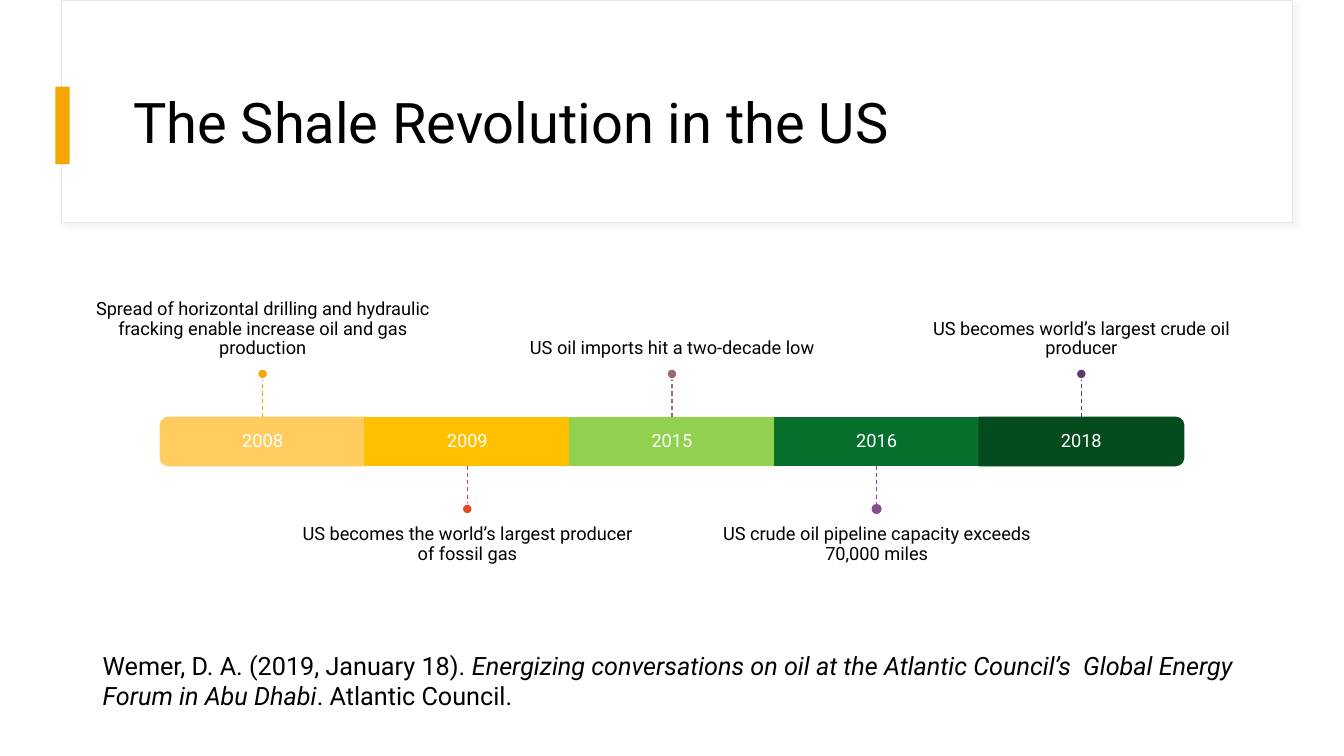
import pptx
import pptx.util
import pptx.dml.color
import pptx.enum.dml
import pptx.enum.shapes
import pptx.enum.text
import pptx.oxml
import pptx.oxml.ns

Inches, Pt = pptx.util.Inches, pptx.util.Pt
SHAPE = pptx.enum.shapes.MSO_SHAPE
ANCHOR = pptx.enum.text.MSO_ANCHOR
ALIGN = pptx.enum.text.PP_ALIGN

# Content
TITLE = "The Shale Revolution in the US"
# year, event, bar colour, marker colour, outlined marker
MILESTONES = [
    ("2008", "Spread of horizontal drilling and hydraulic fracking enable increase oil and gas production",
     "FFCC5F", "F5A700", True),
    ("2009", "US becomes the world’s largest producer of fossil gas",
     "FFC000", "E64823", True),
    ("2015", "US oil imports hit a two-decade low",
     "92D050", "9C6A6A", True),
    ("2016", "US crude oil pipeline capacity exceeds 70,000 miles",
     "06702C", "824F8C", False),
    ("2018", "US becomes world’s largest crude oil producer",
     "044B1D", "613B69", True),
]
CITATION = [
    ("Wemer, D. A. (2019, January 18). ", False),
    ("Energizing conversations on oil at the Atlantic Council’s  Global Energy Forum in Abu Dhabi", True),
    (". Atlantic Council.", False),
]
COLORS = {"text": "000000", "white": "FFFFFF", "accent": "F5A700", "border": "E8E8E8"}
FONT = "Roboto"

# Timeline geometry in inches
BAR_LEFT, BAR_TOP, BAR_W, BAR_H = 1.59, 4.14, 2.03, 0.48
STEM, DOT = 0.38, 0.1
EVENT_W, EVENT_H = 3.38, 1.67

prs = pptx.Presentation()
prs.slide_width, prs.slide_height = Inches(13.33), Inches(7.5)
slide = prs.slides.add_slide(prs.slide_layouts[5])
shapes = slide.shapes


def rgb(color):
    return pptx.dml.color.RGBColor.from_string(color)


def add_block(kind, left, top, width, height, fill, border=None, border_width=1):
    block = shapes.add_shape(kind, Inches(left), Inches(top), Inches(width), Inches(height))
    block.shadow.inherit = False
    block.fill.solid()
    block.fill.fore_color.rgb = rgb(fill)
    if border:
        block.line.color.rgb = rgb(border)
        block.line.width = Pt(border_width)
    else:
        block.line.fill.background()
    return block


def format_frame(frame, anchor, insets):
    settings = {"word_wrap": True, "vertical_anchor": anchor,
                "auto_size": pptx.enum.text.MSO_AUTO_SIZE.NONE}
    sides = ("margin_left", "margin_top", "margin_right", "margin_bottom")
    settings.update(zip(sides, map(Inches, insets)))
    for name, value in settings.items():
        setattr(frame, name, value)


def write(frame, runs, size, color, align, spacing=None):
    paragraph = frame.paragraphs[0]
    paragraph.alignment = align
    paragraph.line_spacing = spacing
    for words, italic in runs:
        run = paragraph.add_run()
        run.text = words
        for name, value in {"name": FONT, "size": Pt(size), "italic": italic}.items():
            setattr(run.font, name, value)
        run.font.color.rgb = rgb(color)


def add_label(words, left, top, width, height, color, anchor, insets):
    label = shapes.add_textbox(Inches(left), Inches(top), Inches(width), Inches(height))
    format_frame(label.text_frame, anchor, insets)
    write(label.text_frame, [(words, False)], 13, color, ALIGN.CENTER, 0.9)


# Title panel with soft shadow, and accent tab
panel = add_block(SHAPE.RECTANGLE, 0.61, 0, 12.21, 2.21, COLORS["white"], COLORS["border"], 0.75)
effects = panel._element.spPr.find(pptx.oxml.ns.qn("a:effectLst"))
effects.append(pptx.oxml.parse_xml(
    f'<a:outerShdw {pptx.oxml.ns.nsdecls("a")} blurRad="{Pt(4)}" dist="{Pt(3)}" dir="2700000">'
    '<a:srgbClr val="D8D8D8"><a:alpha val="30000"/></a:srgbClr></a:outerShdw>'))
add_block(SHAPE.RECTANGLE, 0.55, 0.86, 0.14, 0.77, COLORS["accent"])

# Title, brought in front of the panel
title = shapes.title
for side, length in {"left": 1.22, "top": 0.6, "width": 11.12, "height": 1.29}.items():
    setattr(title, side, Inches(length))
format_frame(title.text_frame, ANCHOR.MIDDLE, (0.1, 0.05, 0.1, 0.05))
write(title.text_frame, [(TITLE, False)], 40, COLORS["text"], ALIGN.LEFT, 0.9)
panel._element.getparent().append(title._element)

# Timeline: events alternate above and below the bar
for i, (year, event, bar_color, marker_color, outlined) in enumerate(MILESTONES):
    left = BAR_LEFT + i * BAR_W
    center = left + BAR_W / 2
    above = i % 2 == 0
    is_end = i in (0, len(MILESTONES) - 1)

    # Bar segment; the end pieces are turned so their round corners face outward
    if is_end:
        segment = add_block(SHAPE.ROUND_2_SAME_RECTANGLE, center - BAR_H / 2,
                            BAR_TOP + (BAR_H - BAR_W) / 2, BAR_H, BAR_W, bar_color, bar_color)
        segment.rotation = 270 if i == 0 else 90
        segment.adjustments[0] = 0.167
    else:
        segment = add_block(SHAPE.RECTANGLE, left, BAR_TOP, BAR_W, BAR_H, bar_color, bar_color)
    add_label(year, left, BAR_TOP, BAR_W, BAR_H, COLORS["white"], ANCHOR.MIDDLE, (0.11,) * 4)

    # Event text
    if above:
        edge, tip = BAR_TOP, BAR_TOP - STEM
        dot_top, event_top = tip - DOT, tip - DOT + 0.01 - EVENT_H
        anchor, insets = ANCHOR.BOTTOM, (0, 0, 0, 0.11)
    else:
        edge, tip = BAR_TOP + BAR_H, BAR_TOP + BAR_H + STEM
        dot_top, event_top = tip, tip + DOT
        anchor, insets = ANCHOR.TOP, (0, 0.11, 0, 0)
    add_label(event, center - EVENT_W / 2, event_top, EVENT_W, EVENT_H,
              COLORS["text"], anchor, insets)

    # Dashed stem and marker dot
    stem = shapes.add_connector(pptx.enum.shapes.MSO_CONNECTOR.STRAIGHT,
                                Inches(center), Inches(edge), Inches(center), Inches(tip))
    if not is_end:
        stem.begin_connect(segment, 0 if above else 2)
    stem.line.color.rgb = rgb(marker_color)
    stem.line.width = Pt(0.75)
    stem.line.dash_style = pptx.enum.dml.MSO_LINE.DASH
    stem._element.spPr.append(pptx.oxml.parse_xml(
        f'<a:effectLst {pptx.oxml.ns.nsdecls("a")}/>'))
    add_block(SHAPE.OVAL, center - DOT / 2, dot_top, DOT, DOT, marker_color,
              COLORS["white"] if outlined else None)

# Citation
citation = shapes.add_textbox(Inches(0.92), Inches(6.4), Inches(12.08), Inches(0.71))
format_frame(citation.text_frame, ANCHOR.TOP, (0.1, 0.05, 0.1, 0.05))
citation.text_frame.auto_size = pptx.enum.text.MSO_AUTO_SIZE.SHAPE_TO_FIT_TEXT
write(citation.text_frame, CITATION, 18, COLORS["text"], ALIGN.LEFT)

prs.save("out.pptx")
